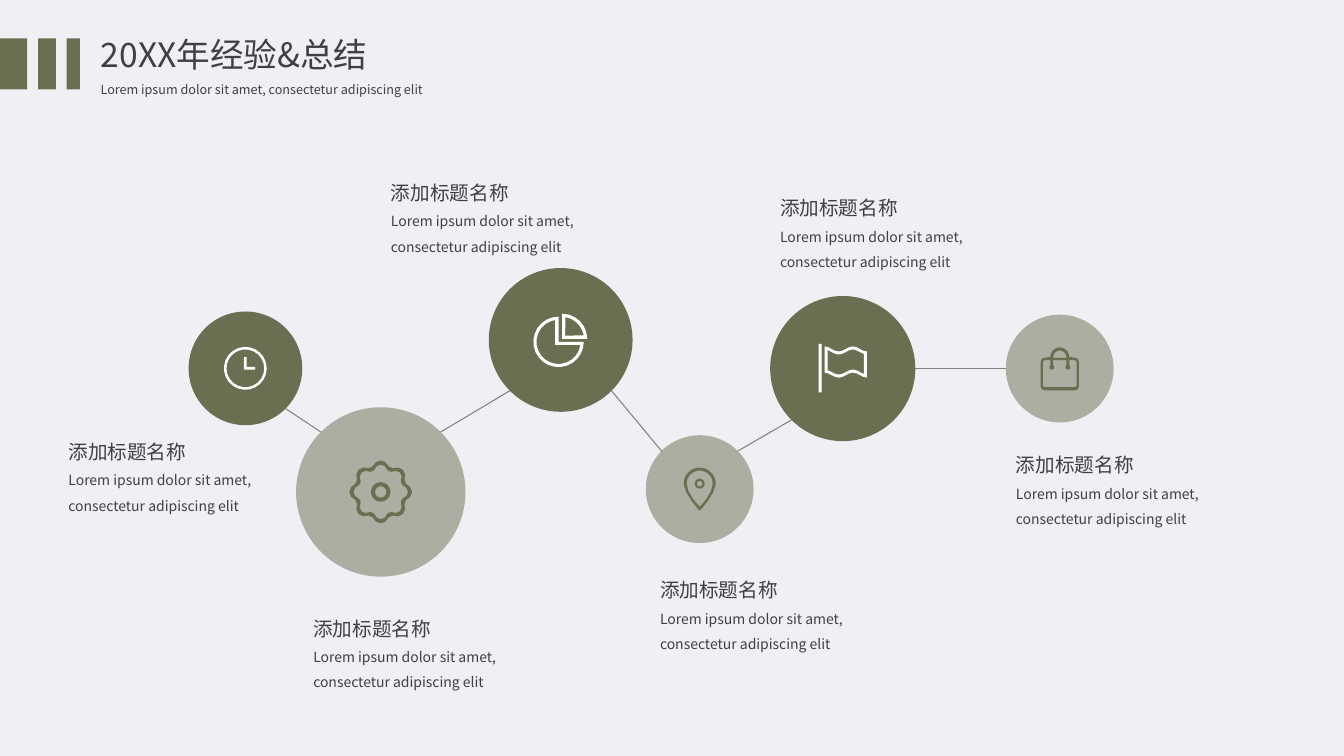
from dataclasses import dataclass
from itertools import pairwise
from math import cos, pi, radians, sin, sqrt

from lxml.etree import SubElement
from pptx import Presentation
from pptx.dml.color import RGBColor
from pptx.enum.shapes import MSO_CONNECTOR, MSO_SHAPE
from pptx.enum.text import MSO_ANCHOR, MSO_AUTO_SIZE, PP_ALIGN
from pptx.oxml.ns import qn
from pptx.util import Pt

COLORS = {"background": "EEF0F4", "olive": "6B6E51", "white": "FFFFFF",
          "text": "404040", "link": "808080"}
FONT = "Noto Sans CJK SC"
HEADING = "添加标题名称"
LOREM = "Lorem ipsum dolor sit amet, consectetur adipiscing elit"

Point = tuple[float, float]
Contour = list[Point]


@dataclass
class Milestone:
    """A circle with its icon, its caption corner and the angles where links meet it."""
    x: float
    y: float
    diameter: float
    pale: bool
    caption: Point
    icon: list[Contour]
    exit_angle: float = 0
    entry_angle: float = 0

    def edge(self, angle: float) -> Point:
        """Return the point of the circle at an angle, clockwise from the right."""
        return polar(self.x, self.y, self.diameter / 2, angle)


def polar(x: float, y: float, radius: float, angle: float) -> Point:
    """Return the point at an angle, clockwise from the right, around a centre."""
    return x + radius * cos(radians(angle)), y + radius * sin(radians(angle))


def arc(x: float, y: float, radius: float, start: float, end: float) -> Contour:
    """Return points along an arc, spaced wider on smaller radii."""
    steps = max(2, round(abs(end - start) * sqrt(radius) / 60))
    return [polar(x, y, radius, start + (end - start) * i / steps) for i in range(steps + 1)]


def ring(x: float, y: float, outer: float, inner: float) -> list[Contour]:
    """Return the two circles that bound a ring."""
    return [arc(x, y, radius, 0, 360)[:-1] for radius in (outer, inner)]


def clock_icon() -> list[Contour]:
    """Return a round clock face with two hands."""
    hands = [(-1, -8), (1, -8), (1, -1), (7, -1), (7, 1), (-1, 1)]
    return ring(0, 0, 15.3, 13.5) + [hands]


def gear_icon() -> list[Contour]:
    """Return an eight-toothed gear around a ring."""
    def rim(radius: float) -> Contour:
        """Return one wavy outline of the gear."""
        return [polar(0, 0, radius + 1.7 * max(-1, min(1, 1.5 * cos(radians(8 * angle)))), angle)
                for angle in range(0, 360, 9)]
    return [rim(20.7), rim(17.8)] + ring(0, 0, 7, 4.1)


def pie_icon() -> list[Contour]:
    """Return a pie outline with one slice pulled out."""
    return [
        arc(1, -0.7, 18, -90, 0) + [(1, -0.7)],
        arc(1, -0.7, 15.7, -81, -9) + [(3.2, -3.1)],
        arc(-1.5, 1.4, 18, 0, 270) + [(-1.5, 1.4)],
        arc(-1.5, 1.4, 15.8, 8, 261) + [(-4, 3.6)],
    ]


def pin_icon() -> list[Contour]:
    """Return a map pin with a ring in its head."""
    def drop(radius: float, tip: float) -> Contour:
        """Return a half circle that narrows along a cubic curve to a tip."""
        times = [i / 4 for i in range(1, 5)]
        side = [(radius * (1 - t) ** 2 * (1 + 2 * t),
                 -3.9 * (1 - t) ** 3 + 9.6 * t * (1 - t) ** 2 + tip * t * t * (3 - 2 * t))
                for t in times]
        return arc(0, -3.9, radius, 180, 360) + side + [(-x, y) for x, y in side[-2::-1]]
    return [drop(11.5, 15.5), drop(9.4, 12.6)] + ring(0, -3.9, 3.6, 2)


def flag_icon() -> list[Contour]:
    """Return a waving flag on a pole."""
    def cloth(inset: float) -> Contour:
        """Return the outline of the cloth, drawn in by an inset."""
        span = 30.3 - 2 * inset
        xs = [-13 + inset + span * i / 12 for i in range(13)]
        top = [(x, -14 - 1.8 * cos(pi * (x + 13) / 10.1) + inset) for x in xs]
        return top + [(x, y + 18.7 - 2 * inset) for x, y in reversed(top)]
    pole = [(-17.2, -17.7), (-15, -17.7), (-15, 17), (-17.2, 17)]
    return [pole, cloth(0), cloth(2.2)]


def bag_icon() -> list[Contour]:
    """Return a shopping bag whose straps end in dots."""
    outside = (arc(-11, -5, 2.7, 180, 270) + arc(0, -8.3, 6.8, 180, 360)
               + arc(11, -5, 2.7, 270, 360) + arc(11, 12.8, 2.7, 0, 90)
               + arc(-11, 12.8, 2.7, 90, 180))
    handle = arc(0, -8.3, 4.7, 180, 360) + [(4.7, -7.7), (-4.7, -7.7)]
    inside = arc(-10.7, -4.7, 1.3, 180, 270)
    for x in (-5.75, 5.75):
        inside += [(x - 1.05, -6)] + arc(x, -1, 1.8, -125, -415) + [(x + 1.05, -6)]
    inside += (arc(10.7, -4.7, 1.3, 270, 360) + arc(10.7, 12, 1.3, 0, 90)
               + arc(-10.7, 12, 1.3, 90, 180))
    return [outside, handle, inside]


MILESTONES = [
    Milestone(175.3, 263.1, 81.2, False, (41.8, 302.4), clock_icon(), 45),
    Milestone(272, 351.4, 121, True, (216.7, 428.4), gear_icon(), -45, 225),
    Milestone(400.5, 242.8, 102.7, False, (272.2, 117.4), pie_icon(), 45, 135),
    Milestone(499.8, 349.4, 77, True, (464.4, 401), pin_icon(), -45, 225),
    Milestone(602, 263.3, 103.7, False, (550.1, 128.2), flag_icon(), 0, 135),
    Milestone(757, 263.3, 77, True, (718.6, 311.8), bag_icon(), 0, 180),
]


def paint(shape, color: str, alpha: int = 100) -> None:
    """Give a shape a plain fill without line or shadow."""
    shape.shadow.inherit = False
    shape.line.fill.background()
    shape.fill.solid()
    shape.fill.fore_color.rgb = RGBColor.from_string(COLORS[color])
    if alpha < 100:
        rgb = shape._element.spPr.find(qn("a:solidFill"))[0]
        SubElement(rgb, qn("a:alpha"), val=str(alpha * 1000))


def add_run(paragraph, text: str, size: float) -> None:
    """Append a run in the slide's font and text colour."""
    run = paragraph.add_run()
    run.text = text
    run.font.size = Pt(size)
    run.font.name = FONT
    run.font.color.rgb = RGBColor.from_string(COLORS["text"])
    SubElement(run.font._element, qn("a:ea"), typeface=FONT)


def add_text(slide, box: tuple[float, ...], lines: list[tuple[str, float]]) -> None:
    """Add a wrapped text box with one paragraph for each line."""
    frame = slide.shapes.add_textbox(*map(Pt, box)).text_frame
    frame.word_wrap = True
    frame.auto_size = MSO_AUTO_SIZE.SHAPE_TO_FIT_TEXT
    for index, (text, size) in enumerate(lines):
        paragraph = frame.add_paragraph() if index else frame.paragraphs[0]
        paragraph.line_spacing = 1.5
        add_run(paragraph, text, size)


def add_header(slide) -> None:
    """Format the title and add the subtitle and the three bars."""
    title = slide.shapes.title
    title.left, title.top, title.width, title.height = map(Pt, (64.8, 20.2, 457.2, 36.7))
    frame = title.text_frame
    frame.word_wrap = True
    frame.auto_size = MSO_AUTO_SIZE.SHAPE_TO_FIT_TEXT
    frame.vertical_anchor = MSO_ANCHOR.MIDDLE
    frame.paragraphs[0].alignment = PP_ALIGN.LEFT
    add_run(frame.paragraphs[0], "20XX年经验&总结", 24)
    add_text(slide, (64.8, 49.7, 273.6, 21.6), [(LOREM, 9)])
    for left, width in ((0, 19.4), (27.2, 12.8), (47.6, 9.5)):
        bar = slide.shapes.add_shape(MSO_SHAPE.RECTANGLE, *map(Pt, (left, 27.4, width, 36.5)))
        paint(bar, "olive")


def add_link(slide, source: Milestone, target: Milestone) -> None:
    """Draw the thin line between two neighbouring circles."""
    ends = source.edge(source.exit_angle) + target.edge(target.entry_angle)
    link = slide.shapes.add_connector(MSO_CONNECTOR.STRAIGHT, *map(Pt, ends))
    link.line.color.rgb = RGBColor.from_string(COLORS["link"])
    link.line.width = Pt(0.75)
    SubElement(link._element.spPr, qn("a:effectLst"))


def add_milestone(slide, milestone: Milestone) -> None:
    """Draw a circle, its icon and its caption."""
    size, radius = milestone.diameter, milestone.diameter / 2
    box = (milestone.x - radius, milestone.y - radius, size, size)
    circle = slide.shapes.add_shape(MSO_SHAPE.OVAL, *map(Pt, box))
    paint(circle, "olive", 50 if milestone.pale else 100)
    outline = slide.shapes.build_freeform(*map(Pt, milestone.icon[0][0]))
    for index, contour in enumerate(milestone.icon):
        points = [(Pt(x), Pt(y)) for x, y in contour]
        if index:
            outline.move_to(*points[0])
        outline.add_line_segments(points[1:], close=True)
    icon = outline.convert_to_shape(Pt(milestone.x), Pt(milestone.y))
    paint(icon, "olive" if milestone.pale else "white")
    add_text(slide, (*milestone.caption, 172.8, 69.1), [(HEADING, 14), (LOREM, 10)])


def main() -> None:
    """Build the slide and save it."""
    deck = Presentation()
    deck.slide_width, deck.slide_height = Pt(960), Pt(540)
    slide = deck.slides.add_slide(deck.slide_layouts[5])
    slide.background.fill.solid()
    slide.background.fill.fore_color.rgb = RGBColor.from_string(COLORS["background"])
    add_header(slide)
    for source, target in pairwise(MILESTONES):
        add_link(slide, source, target)
    for milestone in MILESTONES:
        add_milestone(slide, milestone)
    deck.save("out.pptx")


if __name__ == "__main__":
    main()
